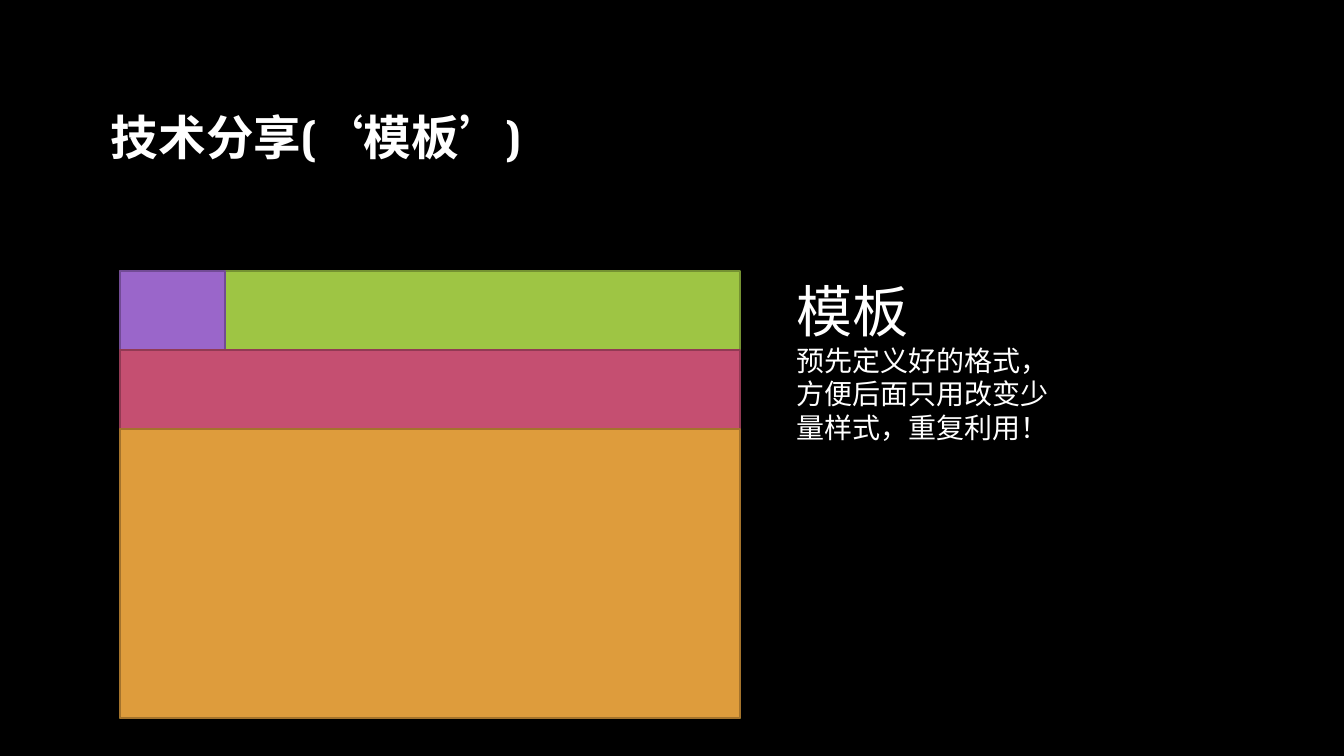
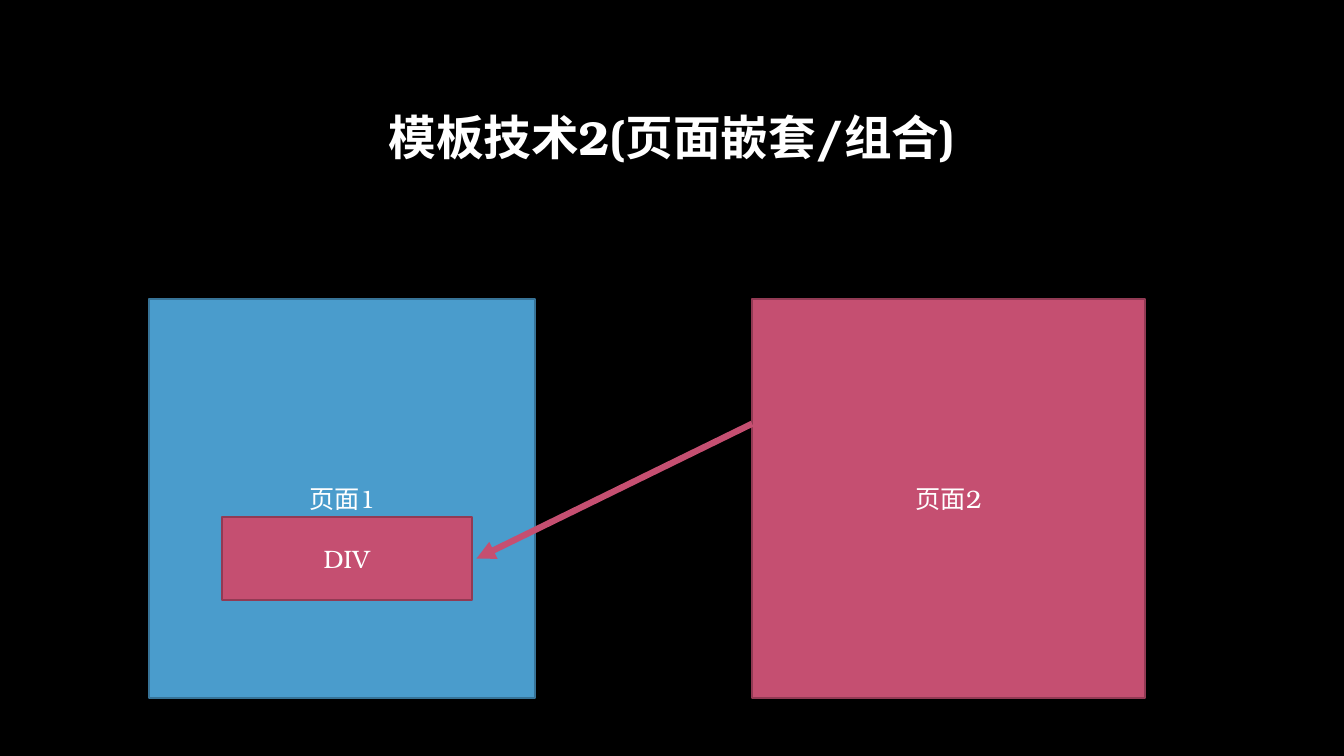
from lxml import etree
from pptx import Presentation
from pptx.dml.color import RGBColor
from pptx.enum.lang import MSO_LANGUAGE_ID
from pptx.enum.shapes import MSO_CONNECTOR, MSO_SHAPE
from pptx.enum.text import MSO_ANCHOR, MSO_AUTO_SIZE, PP_ALIGN
from pptx.oxml.ns import qn
from pptx.util import Inches, Pt

RECT = MSO_SHAPE.RECTANGLE
STRAIGHT = MSO_CONNECTOR.STRAIGHT
LEFT, CENTER = PP_ALIGN.LEFT, PP_ALIGN.CENTER
TOP, MIDDLE = MSO_ANCHOR.TOP, MSO_ANCHOR.MIDDLE
FIT = MSO_AUTO_SIZE.SHAPE_TO_FIT_TEXT
CHINESE = MSO_LANGUAGE_ID.SIMPLIFIED_CHINESE

COLORS = {
    "black": "000000", "white": "FFFFFF",
    "green": "9EC544", "green_edge": "759232",
    "purple": "9A66CA", "purple_edge": "724B95",
    "rose": "C54F71", "rose_edge": "923A54",
    "orange": "DE9C3C", "orange_edge": "A4732C",
    "blue": "4A9CCC", "blue_edge": "377397",
}
RGB = {name: RGBColor.from_string(value) for name, value in COLORS.items()}
FONT = {"name": "TeX Gyre Bonum", "language_id": CHINESE}
TITLE_AT = (7.52, 8.93, 84.92, 19.33)

prs = Presentation()
prs.slide_width, prs.slide_height = Inches(13.33), Inches(7.5)
COL, ROW = prs.slide_width / 100, prs.slide_height / 100


def grid(*shares):
    return [round(v * (ROW if i % 2 else COL)) for i, v in enumerate(shares)]


def write(sp, lines, align=LEFT, anchor=TOP, spacing=None, bold=False):
    tf = sp.text_frame
    tf.word_wrap = True
    tf.vertical_anchor = anchor
    for i, (text, size) in enumerate(lines):
        p = tf.add_paragraph() if i else tf.paragraphs[0]
        p.alignment, p.line_spacing = align, spacing
        r = p.add_run()
        r.text = text
        for key, value in {**FONT, "size": Pt(size), "bold": bold}.items():
            setattr(r.font, key, value)
        r.font.color.rgb = RGB["white"]


LEFT_EDGE, HEAD, WIDTH, BAND = 8.93, 35.87, 46.14, 10.43
PAGE_TOP, PAGE_H = 39.52, 52.77

slides = [
    ("技术分享(‘模板’)", LEFT, [
        ("green", (LEFT_EDGE, HEAD, WIDTH, 59.07), "", False),
        ("purple", (LEFT_EDGE, HEAD, 7.8, BAND), "", False),
        ("rose", (LEFT_EDGE, HEAD + BAND, WIDTH, BAND), "", False),
        ("orange", (LEFT_EDGE, HEAD + 2 * BAND, WIDTH, 38.21), "", False),
    ]),
    ("模板技术2(页面嵌套/组合)", CENTER, [
        ("blue", (11.1, PAGE_TOP, 28.72, PAGE_H), "页面1", True),
        ("rose", (16.5, 68.4, 18.6, 10.93), "DIV", True),
        ("rose", (55.96, PAGE_TOP, 29.26, PAGE_H), "页面2", False),
    ]),
]

for title, align, boxes in slides:
    s = prs.slides.add_slide(prs.slide_layouts[6])
    s.background.fill.solid()
    s.background.fill.fore_color.rgb = RGB["black"]
    sp = s.shapes.add_textbox(*grid(*TITLE_AT))
    write(sp, [(title, 34)], align, MIDDLE, 0.9, True)
    group = s.shapes.add_group_shape() if any(b[3] for b in boxes) else None
    for color, at, label, grouped in boxes:
        parent = group.shapes if grouped else s.shapes
        sp = parent.add_shape(RECT, *grid(*at))
        sp.shadow.inherit = False
        sp.fill.solid()
        sp.fill.fore_color.rgb = RGB[color]
        sp.line.color.rgb = RGB[color + "_edge"]
        sp.line.width = Pt(1.5)
        if label:
            write(sp, [(label, 18)], CENTER, MIDDLE)

template_slide, nesting_slide = prs.slides

note = template_slide.shapes.add_textbox(*grid(58.51, HEAD, 22.2, 23.73))
write(note, [("模板", 40), ("预先定义好的格式，方便后面只用改变少量样式，重复利用！", 20)])
note.text_frame.auto_size = FIT

arrow = nesting_slide.shapes.add_connector(STRAIGHT, *grid(55.96, 56.05, 35.45, 73.9))
arrow.line.color.rgb = RGB["rose"]
arrow.line.width = Pt(4.5)
etree.SubElement(arrow.get_or_add_ln(), qn("a:tailEnd"), type="triangle")
etree.SubElement(arrow._element.spPr, qn("a:effectLst"))

prs.save("out.pptx")
